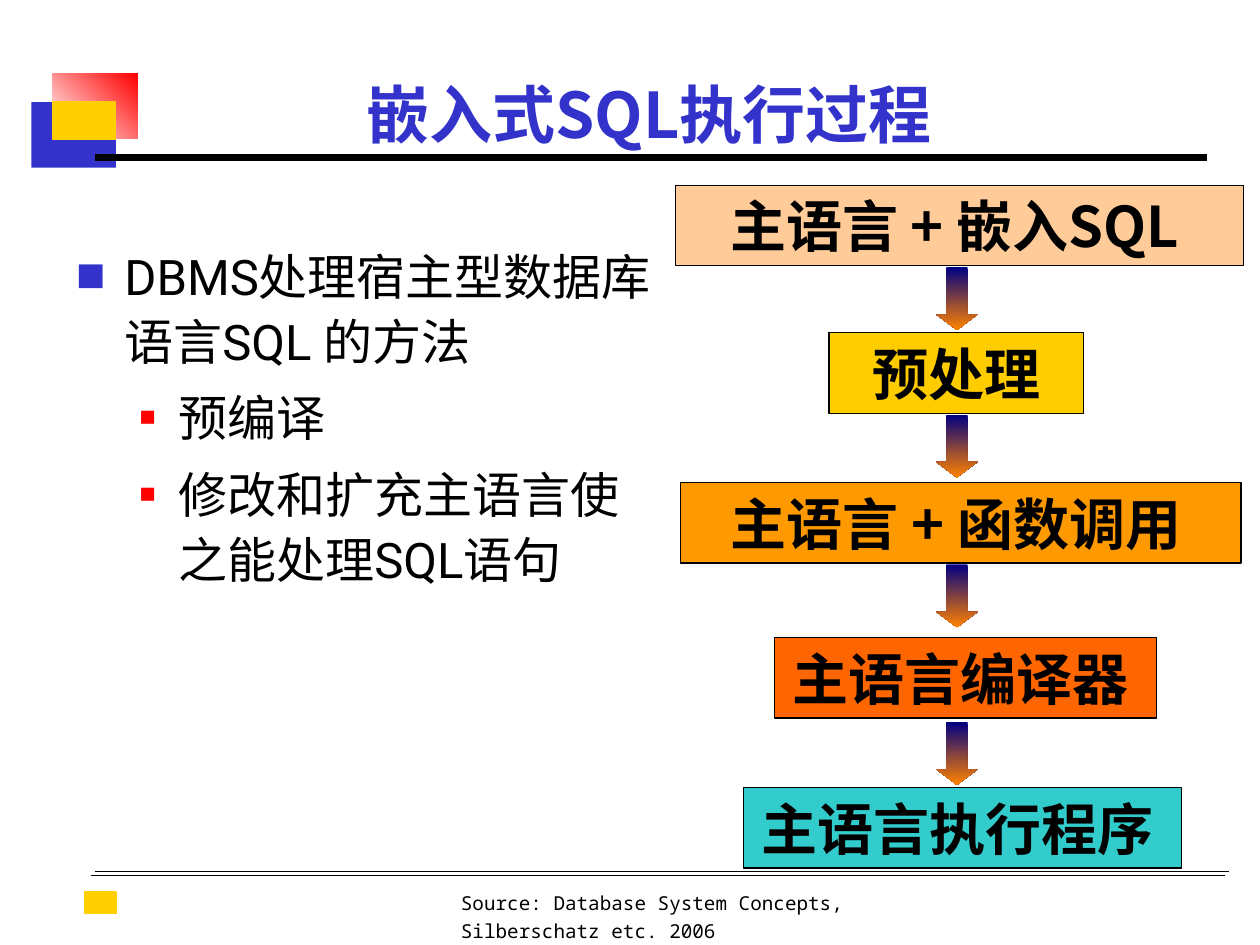
import pptx
import pptx.dml.color
import pptx.enum.shapes
import pptx.enum.text
import pptx.oxml
import pptx.oxml.ns
import pptx.util
from lxml import etree

Inches, Pt = pptx.util.Inches, pptx.util.Pt
RGBColor = pptx.dml.color.RGBColor
SHAPE = pptx.enum.shapes.MSO_SHAPE
ALIGN = pptx.enum.text.PP_ALIGN
ANCHOR = pptx.enum.text.MSO_ANCHOR
qn = pptx.oxml.ns.qn

BLACK = RGBColor(0x00, 0x00, 0x00)
WHITE = RGBColor(0xFF, 0xFF, 0xFF)
BLUE = RGBColor(0x33, 0x33, 0xCC)
RED = RGBColor(0xFF, 0x00, 0x00)
GOLD = RGBColor(0xFF, 0xCF, 0x01)
PEACH = RGBColor(0xFF, 0xCC, 0x99)
YELLOW = RGBColor(0xFF, 0xCC, 0x00)
AMBER = RGBColor(0xFF, 0x99, 0x00)
ORANGE = RGBColor(0xFF, 0x66, 0x00)
TEAL = RGBColor(0x33, 0xCC, 0xCC)
NAVY = RGBColor(0x00, 0x00, 0x82)
ARROW_TIP = RGBColor(0xFF, 0x82, 0x00)

CJK, SANS, MONO = "Noto Sans CJK SC", "Roboto", "Noto Sans Mono"
STEP_HEIGHT = 0.64
# label, left, top, width, fill
STEPS = [
    ("主语言 + 嵌入SQL", 5.36, 1.47, 4.51, PEACH),
    (" 预处理 ", 6.58, 2.64, 2.02, YELLOW),
    ("主语言 + 函数调用", 5.4, 3.83, 4.45, AMBER),
    ("主语言编译器", 6.15, 5.06, 3.03, ORANGE),
    ("主语言执行程序", 5.9, 6.25, 3.48, TEAL),
]
ARROW_TOPS = [2.12, 3.29, 4.48, 5.73]
METHODS = [
    (0, "DBMS处理宿主型数据库语言SQL 的方法"),
    (1, "预编译"),
    (1, "修改和扩充主语言使之能处理SQL语句"),
]
# indent, hanging, bullet colour, bullet size in percent
BULLET_LEVELS = [(0.38, 0.38, BLUE, 100), (0.81, 0.31, RED, 55)]


class SlideBuilder:
    def __init__(self, slide):
        self.slide = slide
        self.title_format = {"name": CJK, "size": Pt(36), "bold": True}
        self.step_format = {"name": CJK, "size": Pt(32), "bold": True}
        self.gap_format = {"name": CJK, "size": Pt(24), "bold": False}
        self.body_format = {"name": SANS, "size": Pt(28), "bold": False}
        self.source_format = {"name": MONO, "size": Pt(11), "bold": False}

    def run(self, paragraph, text, style, color=BLACK):
        run = paragraph.add_run()
        run.text = text
        for key, value in style.items():
            setattr(run.font, key, value)
        run.font.color.rgb = color
        latin = run.font._element.find(qn("a:latin"))
        east_asian = etree.Element(qn("a:ea"), typeface=CJK)
        latin.addnext(east_asian)

    def title(self, text, *box):
        title = self.slide.shapes.title
        title.left, title.top, title.width, title.height = map(Inches, box)
        title.text_frame.vertical_anchor = ANCHOR.BOTTOM
        title.text_frame.word_wrap = True
        paragraph = title.text_frame.paragraphs[0]
        paragraph.alignment = ALIGN.CENTER
        self.run(paragraph, text, self.title_format, BLUE)

    def shape(self, kind, box, fill=None, gradient=None, line=None):
        """Draw a preset shape; gradient is (start, end, counter-clockwise angle)."""
        shape = self.slide.shapes.add_shape(kind, *map(Inches, box))
        shape.shadow.inherit = False
        if gradient:
            shape.fill.gradient()
            shape.fill.gradient_angle = gradient[2]
            for stop, color, position in zip(shape.fill.gradient_stops, gradient, (0, 1)):
                stop.color.rgb = color
                stop.position = position
        else:
            shape.fill.solid()
            shape.fill.fore_color.rgb = fill
        if line is None:
            shape.line.fill.background()
        else:
            shape.line.color.rgb = line
            shape.line.width = Pt(0.75)
        return shape

    def rule(self, left, right, y, width):
        rule = self.slide.shapes.add_connector(
            pptx.enum.shapes.MSO_CONNECTOR.STRAIGHT,
            Inches(left), Inches(y), Inches(right), Inches(y))
        rule.line.color.rgb = BLACK
        rule.line.width = Pt(width)
        etree.SubElement(rule._element.spPr, qn("a:effectLst"))

    def step(self, label, left, top, width, fill):
        box = self.shape(SHAPE.RECTANGLE, (left, top, width, STEP_HEIGHT), fill, line=BLACK)
        box.text_frame.word_wrap = False
        paragraph = box.text_frame.paragraphs[0]
        paragraph.alignment = ALIGN.CENTER
        self.run(paragraph, label, self.step_format)
        if not label.endswith(" "):
            self.run(paragraph, " ", self.gap_format)

    def arrow(self, top):
        arrow = self.shape(SHAPE.DOWN_ARROW, (7.43, top, 0.33, 0.5),
                           gradient=(NAVY, ARROW_TIP, 270))
        arrow.adjustments[0] = 0.5
        arrow.adjustments[1] = 0.375

    def text_frame(self, *box):
        frame = self.slide.shapes.add_textbox(*map(Inches, box)).text_frame
        frame.word_wrap = True
        return frame

    def bullets(self, items, *box):
        frame = self.text_frame(*box)
        for index, (level, text) in enumerate(items):
            paragraph = frame.add_paragraph() if index else frame.paragraphs[0]
            paragraph.level = level
            paragraph.line_spacing = 1.1
            paragraph.space_before = Pt(7 if index else 0)
            indent, hanging, color, size = BULLET_LEVELS[level]
            properties = paragraph._p.get_or_add_pPr()
            properties.set("marL", str(Inches(indent)))
            properties.set("indent", str(-Inches(hanging)))
            bullet_color = etree.SubElement(properties, qn("a:buClr"))
            etree.SubElement(bullet_color, qn("a:srgbClr"), val=str(color))
            etree.SubElement(properties, qn("a:buSzPct"), val=str(size * 1000))
            etree.SubElement(properties, qn("a:buFont"), typeface=MONO)
            etree.SubElement(properties, qn("a:buChar"), char="■")
            self.run(paragraph, text, self.body_format)

    def source(self, text, *box):
        paragraph = self.text_frame(*box).paragraphs[0]
        paragraph.line_spacing = 1.2
        self.run(paragraph, text, self.source_format)


def main():
    presentation = pptx.Presentation()
    presentation.slide_width = Inches(10)
    presentation.slide_height = Inches(7.5)
    builder = SlideBuilder(presentation.slides.add_slide(presentation.slide_layouts[5]))

    builder.source("Source: Database System Concepts, Silberschatz etc. 2006",
                   3.56, 6.99, 4.35, 0.54)
    builder.shape(SHAPE.RECTANGLE, (0.25, 0.81, 0.67, 0.52), BLUE)
    builder.shape(SHAPE.RECTANGLE, (0.42, 0.58, 0.67, 0.52), gradient=(WHITE, RED, 45))
    for gold_box in [(0.42, 0.81, 0.5, 0.3), (0.67, 7.08, 0.25, 0.17)]:
        builder.shape(SHAPE.RECTANGLE, gold_box, GOLD, line=GOLD)
    for rule in [(0.75, 9.75, 6.92, 0.5), (0.75, 9.58, 1.25, 4.5), (0.72, 9.72, 6.95, 0.5)]:
        builder.rule(*rule)

    builder.title("嵌入式SQL执行过程", 1.17, 0.5, 7.96, 0.75)
    for step in STEPS:
        builder.step(*step)
    for top in ARROW_TOPS:
        builder.arrow(top)
    builder.bullets(METHODS, 0.51, 1.86, 4.8, 3.86)
    presentation.save("out.pptx")


if __name__ == "__main__":
    main()
